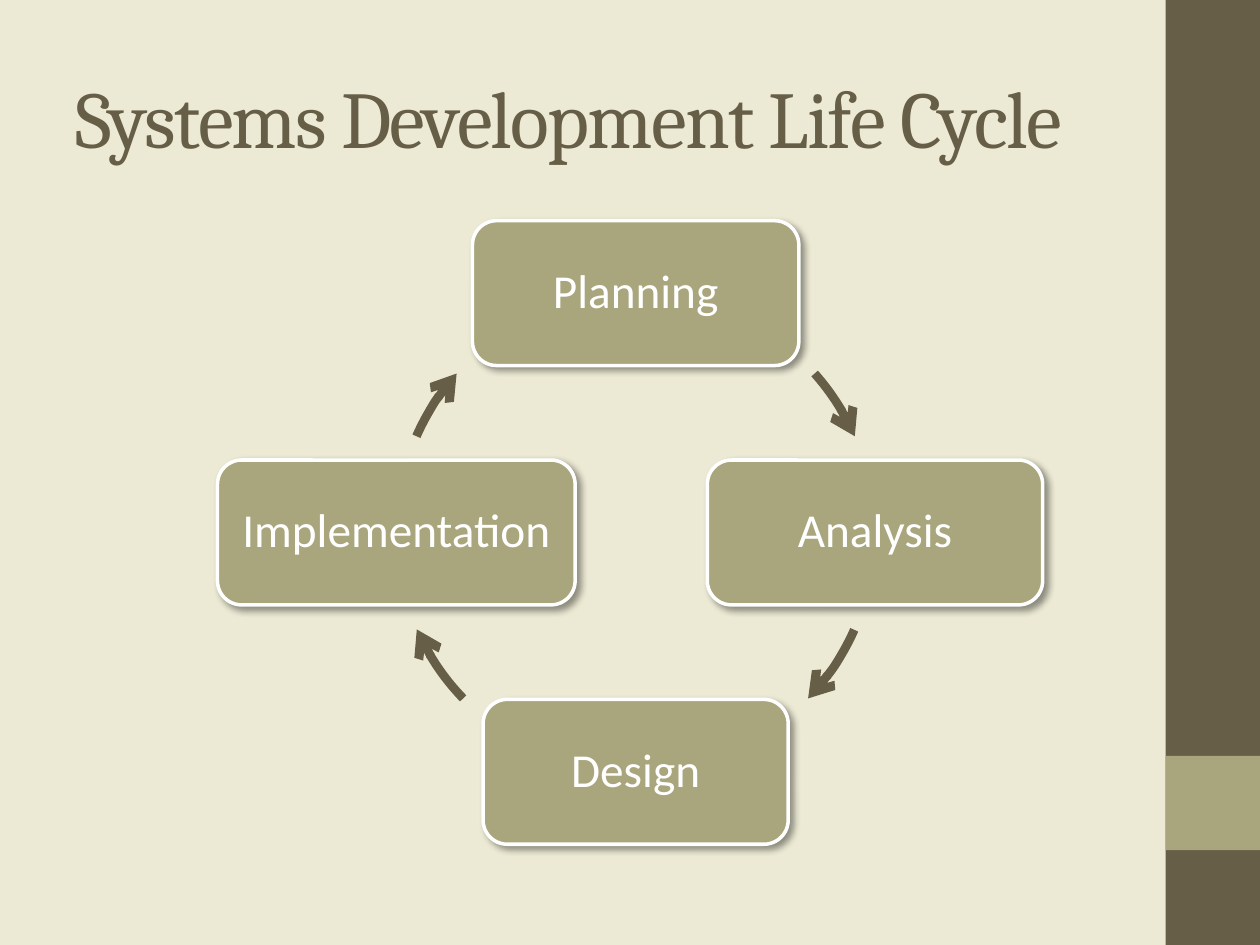
from math import cos, radians, sin

from lxml.etree import SubElement
from pptx import Presentation
from pptx.dml.color import RGBColor as RGB
from pptx.enum.shapes import MSO_SHAPE as Kind
from pptx.enum.text import MSO_ANCHOR as Anchor, PP_ALIGN as Align
from pptx.oxml.ns import qn
from pptx.util import Cm, Pt

CREAM = RGB(0xEC, 0xEA, 0xD4)
BROWN = RGB(0x67, 0x5E, 0x47)
OLIVE = RGB(0xA9, 0xA5, 0x7C)
WHITE = RGB(0xFF, 0xFF, 0xFF)

TITLE = {"name": "Cambria", "size": Pt(46)}
LABEL = {"name": "Calibri", "size": Pt(27)}

# Name, box width in cm, direction from the centre in degrees
STEPS = [
    ("Planning", 6.58, 270),
    ("Analysis", 6.76, 0),
    ("Design", 6.15, 90),
    ("Implementation", 7.21, 180),
]
# Start and end angles in degrees, clockwise from the right
ARROWS = [(318.4, 336.3), (24, 43.9), (136.1, 156.1), (203.7, 221.6)]


def add_shape(slide, kind, box, fill=None):
    shape = slide.shapes.add_shape(kind, *map(Cm, box))
    shape.shadow.inherit = False
    if fill is None:
        shape.fill.background()
    else:
        shape.fill.solid()
        shape.fill.fore_color.rgb = fill
    shape.line.fill.background()
    return shape


def set_line(shape, color, width):
    shape.line.color.rgb = color
    shape.line.width = Pt(width)


def set_text(frame, text, style, color):
    frame.word_wrap = True
    frame.vertical_anchor = Anchor.MIDDLE
    run = frame.paragraphs[0].add_run()
    run.text = text
    for key, value in style.items():
        setattr(run.font, key, value)
    run.font.color.rgb = color
    return run


def add_shadow(shape):
    """Cast a soft black shadow to the lower right."""
    effects = shape._element.spPr.find(qn("a:effectLst"))
    outer = SubElement(effects, qn("a:outerShdw"), blurRad=str(Pt(4)),
                       dist=str(Pt(3)), dir="2700000", rotWithShape="0")
    black = SubElement(outer, qn("a:srgbClr"), val="000000")
    SubElement(black, qn("a:alpha"), val="40000")


def add_band(slide, box):
    left, top, width, height = box
    add_shape(slide, Kind.RECTANGLE, box, BROWN)
    square = (left, top + 0.8 * height, width, width)
    add_shape(slide, Kind.RECTANGLE, square, OLIVE)


def add_title(slide, box, text):
    frame = slide.shapes.add_textbox(*map(Cm, box)).text_frame
    run = set_text(frame, text, TITLE, BROWN)
    run._r.get_or_add_rPr().set("spc", "-100")


def add_step(slide, box, text):
    shape = add_shape(slide, Kind.ROUNDED_RECTANGLE, box, OLIVE)
    set_line(shape, WHITE, 2)
    add_shadow(shape)
    frame = shape.text_frame
    for side in ("left", "top", "right", "bottom"):
        setattr(frame, f"margin_{side}", Cm(0.25))
    set_text(frame, text, LABEL, WHITE)
    para = frame.paragraphs[0]
    para.alignment = Align.CENTER
    para.line_spacing = 0.9


def add_arrow(slide, box, start, end):
    arc = add_shape(slide, Kind.ARC, box)
    set_line(arc, BROWN, 5)
    for i, angle in enumerate((start, end)):
        arc.adjustments[i] = angle * 0.6  # 60000ths of a degree over 100000
    line = arc._element.spPr.find(qn("a:ln"))
    SubElement(line, qn("a:tailEnd"), type="arrow")


def add_cycle(slide, box, height=2.92):
    """Set the steps and arrows on the circle that fills the box."""
    left, top, size, _ = box
    radius = size / 2
    for text, width, angle in STEPS:
        x = left + radius + radius * cos(radians(angle))
        y = top + radius + radius * sin(radians(angle))
        add_step(slide, (x - width / 2, y - height / 2, width, height), text)
    for start, end in ARROWS:
        add_arrow(slide, box, start, end)


def main():
    deck = Presentation()
    deck.slide_width, deck.slide_height = Cm(25.4), Cm(19.05)
    slide = deck.slides.add_slide(deck.slide_layouts[6])
    back = slide.background.fill
    back.solid()
    back.fore_color.rgb = CREAM
    add_band(slide, (23.5, 0, 1.9, 19.05))
    add_title(slide, (1.27, 0.76, 21.16, 3.18), "Systems Development Life Cycle")
    add_cycle(slide, (7.99, 5.91, 9.65, 9.65))
    deck.save("out.pptx")


if __name__ == "__main__":
    main()
